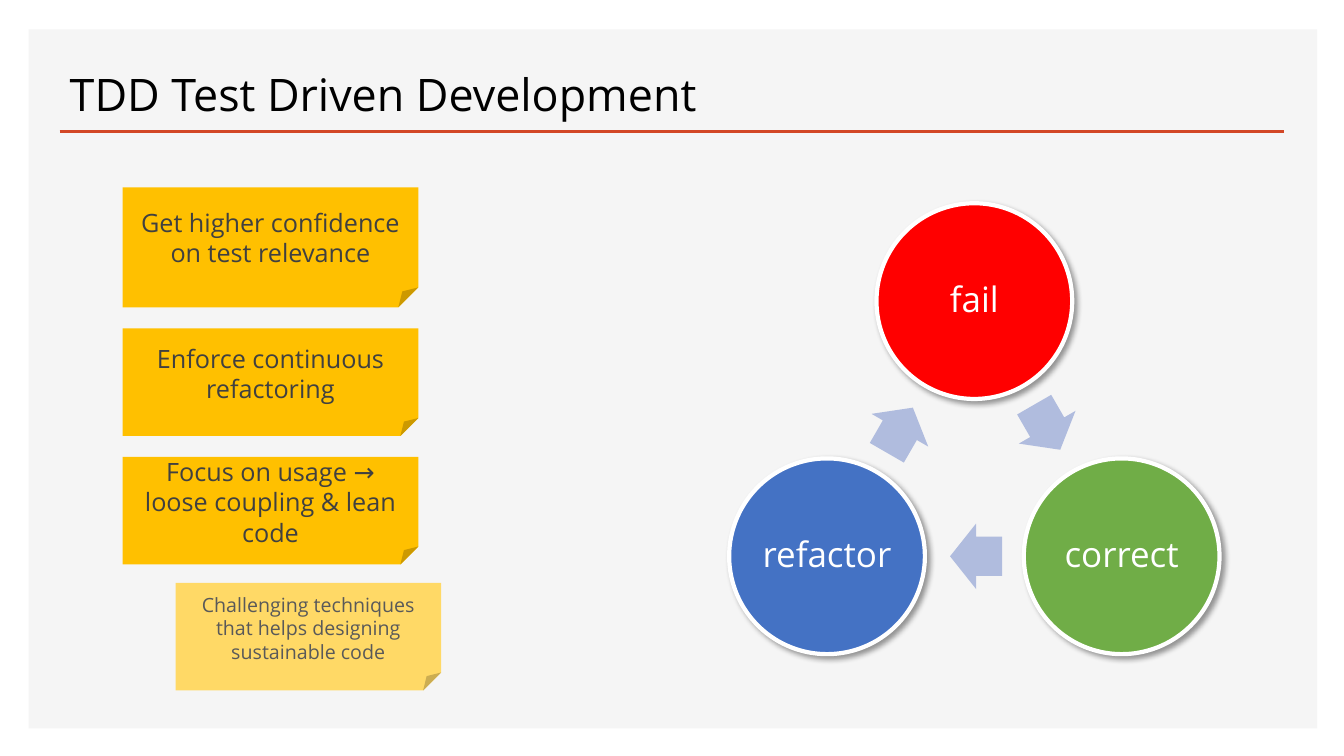
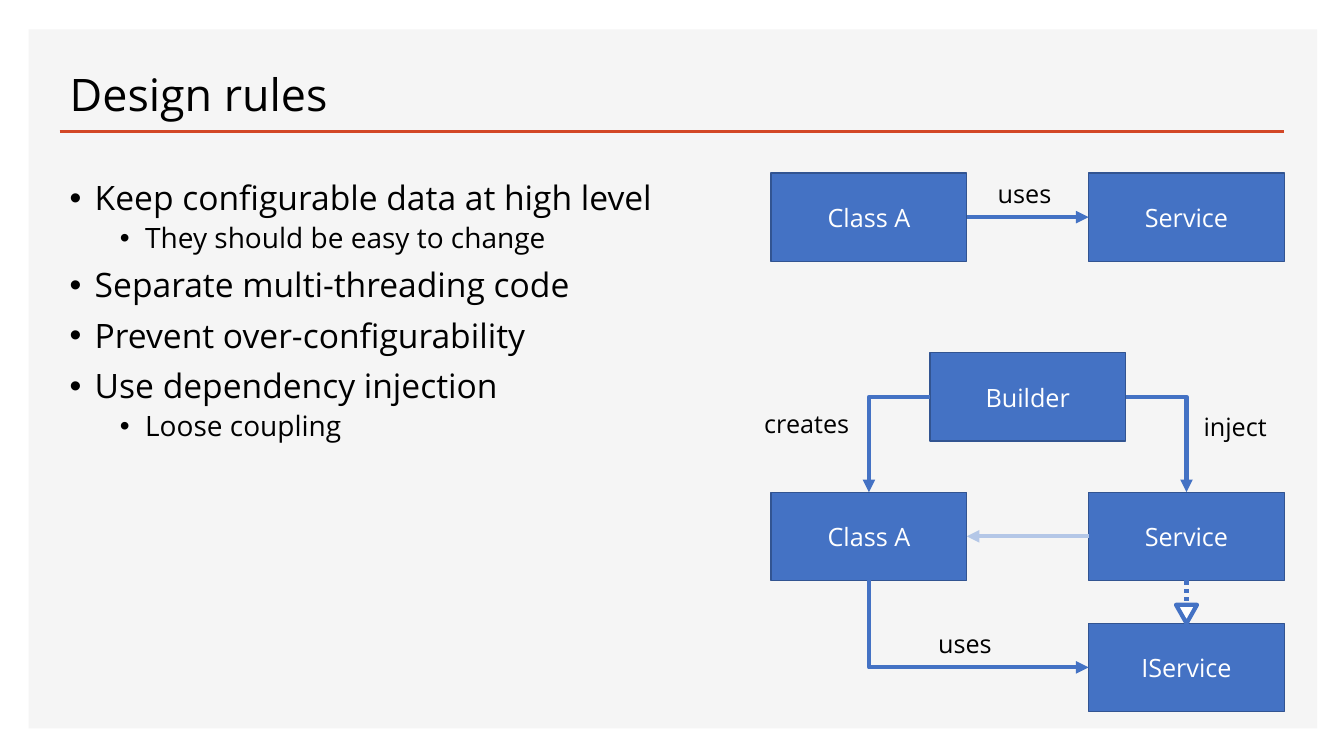
from math import cos, radians, sin

from lxml.etree import SubElement
from pptx import Presentation
from pptx.dml.color import RGBColor
from pptx.enum.dml import MSO_LINE
from pptx.enum.shapes import MSO_CONNECTOR, MSO_SHAPE
from pptx.enum.text import MSO_ANCHOR, MSO_AUTO_SIZE, PP_ALIGN
from pptx.oxml.ns import qn
from pptx.util import Inches, Pt

FONT = "Open Sans"
BLACK, WHITE, PANEL, RULE = "000000", "FFFFFF", "F5F5F5", "D24726"
BLUE, BLUE_EDGE, BLUE_PALE, ARROW = "4472C4", "325491", "B4C7E7", "B0BCDE"
RED, GREEN = "FF0000", "70AD47"
AMBER, AMBER_PALE, INK, INK_PALE = "FFC000", "FFD966", "404040", "595959"
TOP, LEFT, BOTTOM, RIGHT = range(4)  # connection sites of a rectangle
MARGIN, CONTENT_W = 7.1, 145.8


def rgb(hex_string):
    return RGBColor.from_string(hex_string)


def cells(*counts):
    """Lengths of a grid of 160 columns by 90 rows, with square cells."""
    return [Inches(n / 12) for n in counts]


class Deck:
    def __init__(self):
        self.prs = Presentation()
        self.prs.slide_width, self.prs.slide_height = cells(160, 90)
        self.s = None

    def slide(self, title):
        self.s = self.prs.slides.add_slide(self.prs.slide_layouts[5])
        panel = self.shape(MSO_SHAPE.RECTANGLE, 3.4, 3.5, 153.4, 83.2, PANEL)
        self.s.shapes._spTree.insert(2, panel._element)
        rule = self.s.shapes.add_connector(
            MSO_CONNECTOR.STRAIGHT, *cells(MARGIN, 15.7, MARGIN + CONTENT_W, 15.7))
        self.stroke(rule, RULE, 2)
        sp = self.s.shapes.title
        sp.left, sp.top, sp.width, sp.height = cells(MARGIN, 4.8, CONTENT_W, 10.2)
        tf = sp.text_frame
        tf.auto_size = MSO_AUTO_SIZE.NONE
        tf.vertical_anchor = MSO_ANCHOR.BOTTOM
        self.set_text(tf, title, 32, BLACK, PP_ALIGN.LEFT, 0.9)

    def set_text(self, tf, text, size, color, align=PP_ALIGN.CENTER, spacing=1.0):
        tf.text = text
        p = tf.paragraphs[0]
        p.alignment, p.line_spacing = align, spacing
        self.style(p, size, color)

    def style(self, p, size, color):
        for r in p.runs:
            r.font.name, r.font.size = FONT, Pt(size)
            r.font.color.rgb = rgb(color)

    def stroke(self, connector, color, width):
        connector.line.color.rgb, connector.line.width = rgb(color), Pt(width)
        SubElement(connector._element.spPr, qn("a:effectLst"))

    def shape(self, kind, x, y, w, h, fill, line=None, width=1):
        sp = self.s.shapes.add_shape(kind, *cells(x, y, w, h))
        sp.shadow.inherit = False
        sp.fill.solid()
        sp.fill.fore_color.rgb = rgb(fill)
        if line:
            sp.line.color.rgb, sp.line.width = rgb(line), Pt(width)
        else:
            sp.line.fill.background()
        return sp

    def note(self, text, x, y, w, h, fill=AMBER, size=18, color=INK):
        sp = self.shape(MSO_SHAPE.FOLDED_CORNER, x, y, w, h, fill)
        sp.text_frame.vertical_anchor = MSO_ANCHOR.MIDDLE
        self.set_text(sp.text_frame, text, size, color)

    def circle(self, text, cx, cy, d, fill):
        sp = self.shape(MSO_SHAPE.OVAL, cx - d / 2, cy - d / 2, d, d, fill, WHITE, 3)
        self.drop_shadow(sp)
        tf = sp.text_frame
        tf.word_wrap = False
        tf.vertical_anchor = MSO_ANCHOR.MIDDLE
        tf.margin_left = tf.margin_right = tf.margin_top = tf.margin_bottom = Inches(0.03)
        self.set_text(tf, text, 25, WHITE, spacing=0.9)

    def drop_shadow(self, sp):
        effects = sp._element.spPr.find(qn("a:effectLst"))
        shadow = SubElement(effects, qn("a:outerShdw"), blurRad=str(Pt(4)),
                            dist=str(Pt(3)), dir=str(45 * 60000), rotWithShape="0")
        color = SubElement(shadow, qn("a:srgbClr"), val=BLACK)
        SubElement(color, qn("a:alpha"), val="40000")

    def cycle(self, steps, cx, cy, radius, d):
        """Circles clockwise from the top, with an arrow from each to the next."""
        turn = 360 / len(steps)
        spots = [(cx + radius * sin(radians(i * turn)),
                  cy - radius * cos(radians(i * turn))) for i in range(len(steps))]
        w, h, setback = 6.2, 7.8, 0.2
        for i, (text, fill) in enumerate(steps):
            (x1, y1), (x2, y2) = spots[i], spots[(i + 1) % len(spots)]
            self.circle(text, x1, y1, d, fill)
            angle = (i + 0.5) * turn
            x = (x1 + x2) / 2 - setback * cos(radians(angle))
            y = (y1 + y2) / 2 - setback * sin(radians(angle))
            arrow = self.shape(MSO_SHAPE.RIGHT_ARROW, x - w / 2, y - h / 2, w, h, ARROW)
            arrow.adjustments[0], arrow.adjustments[1] = 0.6, 0.5
            arrow.rotation = angle

    def box(self, text, x, y):
        sp = self.shape(MSO_SHAPE.RECTANGLE, x, y, 23.3, 10.5, BLUE, BLUE_EDGE)
        sp.text_frame.vertical_anchor = MSO_ANCHOR.MIDDLE
        self.set_text(sp.text_frame, text, 18, WHITE)
        return sp

    def link(self, start, start_site, end, end_site, color=BLUE,
             bent=False, arrow="tailEnd", dash=None):
        """Connector between two boxes; a bent one leaves its start sideways."""
        kind = MSO_CONNECTOR.ELBOW if bent else MSO_CONNECTOR.STRAIGHT
        c = self.s.shapes.add_connector(kind, 0, 0, 0, 0)
        c.begin_connect(start, start_site)
        c.end_connect(end, end_site)
        if bent:
            c._element.spPr.find(qn("a:prstGeom")).set("prst", "bentConnector2")
        self.stroke(c, color, 3)
        if dash:
            c.line.dash_style = dash
        if arrow:
            ln = c._element.spPr.find(qn("a:ln"))
            SubElement(ln, qn("a:" + arrow), type="triangle")

    def label(self, text, x, y, w):
        tf = self.s.shapes.add_textbox(*cells(x, y, w, 4.8)).text_frame
        tf.word_wrap = False
        tf.auto_size = MSO_AUTO_SIZE.SHAPE_TO_FIT_TEXT
        self.set_text(tf, text, 18, BLACK, PP_ALIGN.LEFT)

    def bullets(self, items, x, y, w, h):
        tf = self.s.shapes.add_textbox(*cells(x, y, w, h)).text_frame
        tf.word_wrap = True
        for i, (level, text) in enumerate(items):
            p = tf.add_paragraph() if i else tf.paragraphs[0]
            p.text, p.level = text, level
            pPr = p._p.get_or_add_pPr()
            pPr.set("marL", str(Inches(0.25 + 0.5 * level)))
            pPr.set("indent", str(Inches(-0.25)))
            SubElement(pPr, qn("a:buFont"), typeface="Arial")
            SubElement(pPr, qn("a:buChar"), char="•")
            p.line_spacing = 0.9
            if i:
                p.space_before = Pt(5 if level else 10)
            self.style(p, 20 if level else 24, BLACK)


def tdd_slide(deck):
    deck.slide("TDD Test Driven Development")
    deck.cycle([("fail", RED), ("correct", GREEN), ("refactor", BLUE)],
               116, 56.1, 20.25, 23.3)
    y = 22.3
    for text, h in [("Get higher confidence on test relevance", 14.3),
                    ("Enforce continuous refactoring", 12.8),
                    ("Focus on usage → loose coupling & lean code", 12.8)]:
        deck.note(text, 14.6, y, 35.2, h)
        y += h + 2.5
    deck.note("Challenging techniques that helps designing sustainable code",
              20.9, 69.4, 31.6, 12.8, AMBER_PALE, 14, INK_PALE)


def design_slide(deck):
    deck.slide("Design rules")
    deck.bullets([(0, "Keep configurable data at high level"),
                  (1, "They should be easy to change"),
                  (0, "Separate multi-threading code"),
                  (0, "Prevent over-configurability"),
                  (0, "Use dependency injection"),
                  (1, "Loose coupling")], MARGIN, 21, 73, 63)

    near, far = 91.8, 129.6
    direct_user = deck.box("Class A", near, 20.6)
    direct_service = deck.box("Service", far, 20.6)
    deck.link(direct_user, RIGHT, direct_service, LEFT)

    builder = deck.box("Builder", (near + far) / 2, 42)
    user = deck.box("Class A", near, 58.6)
    service = deck.box("Service", far, 58.6)
    interface = deck.box("IService", far, 74.2)
    deck.link(service, LEFT, user, RIGHT, BLUE_PALE)
    deck.link(interface, LEFT, user, BOTTOM, bent=True, arrow="headEnd")
    deck.link(builder, LEFT, user, TOP, bent=True)
    deck.link(builder, RIGHT, service, TOP, bent=True)
    deck.link(service, BOTTOM, interface, TOP, arrow=None, dash=MSO_LINE.ROUND_DOT)
    head = deck.shape(MSO_SHAPE.ISOSCELES_TRIANGLE, far + 10.4, 72, 2.5, 2.2,
                      WHITE, BLUE, 3)
    head.rotation = 180

    for text, x, y, w in [("uses", 117.6, 20.6, 8.9), ("uses", 110.5, 74.2, 8.9),
                          ("creates", 89.8, 48, 12.7), ("inject", 142.1, 48.4, 10)]:
        deck.label(text, x, y, w)


def main():
    deck = Deck()
    tdd_slide(deck)
    design_slide(deck)
    deck.prs.save("out.pptx")


if __name__ == "__main__":
    main()
